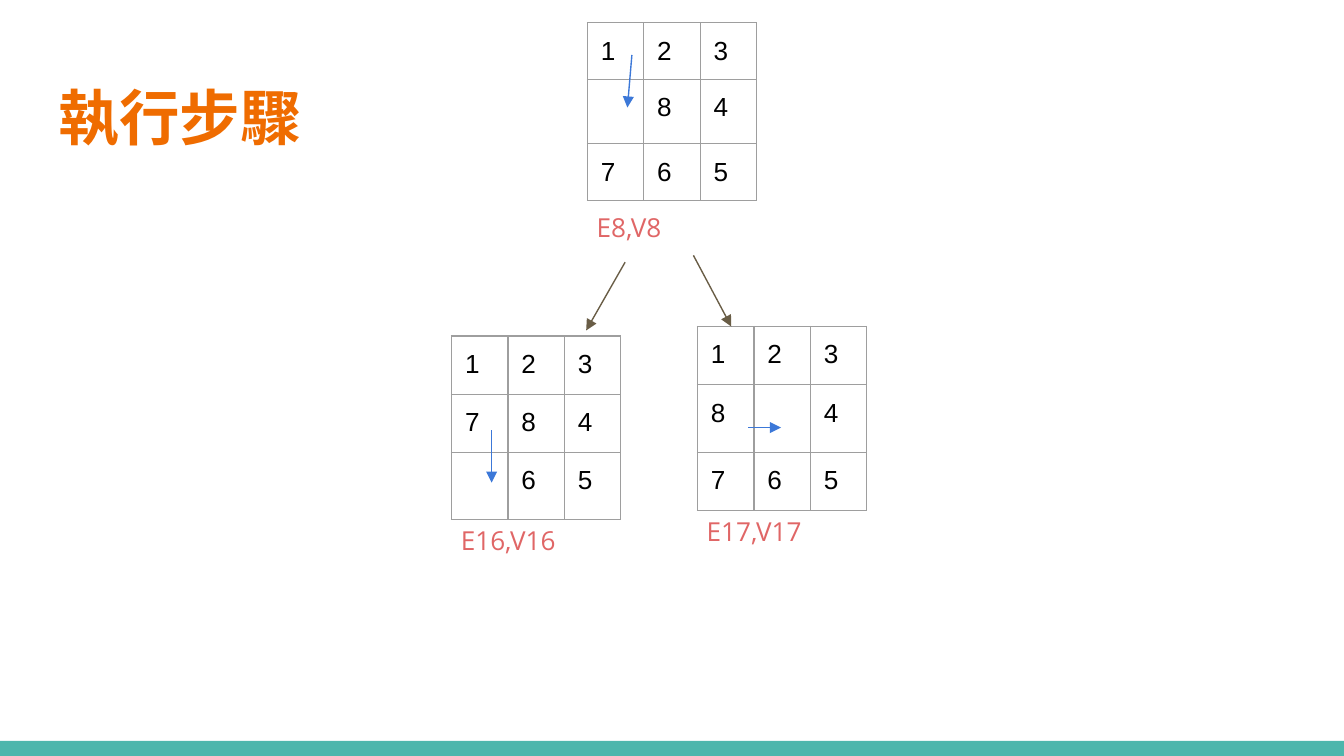
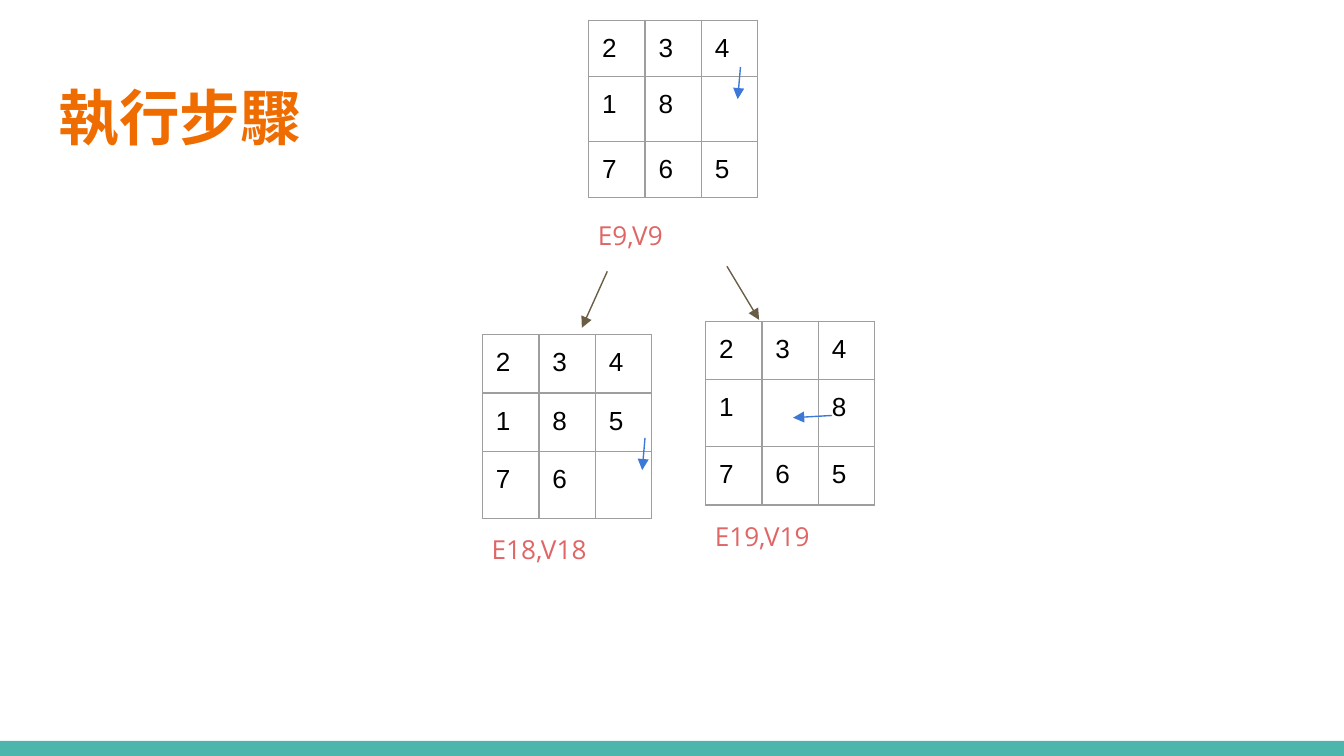
from lxml import etree
from pptx import Presentation
from pptx.dml.color import RGBColor
from pptx.enum.shapes import MSO_CONNECTOR, MSO_SHAPE
from pptx.enum.text import MSO_ANCHOR
from pptx.oxml.ns import qn
from pptx.util import Inches, Pt

STRAIGHT = MSO_CONNECTOR.STRAIGHT
RECTANGLE = MSO_SHAPE.RECTANGLE
TOP, MIDDLE = MSO_ANCHOR.TOP, MSO_ANCHOR.MIDDLE

WIDTH = 10
HEIGHT = WIDTH * 9 / 16
CELL = 0.42
INSET = 0.1
LINE_WIDTH = 0.75
ORANGE, TEAL, CORAL = "EF6C00", "4DB6AC", "E06666"
BLUE, BROWN, GREY, BLACK = "3C78D8", "695D46", "9E9E9E", "000000"
ROOT = {"tile_height": 0.42, "gap_height": 0.48, "bottom_inset": 0.08}
CHILD = {"tile_height": 0.43, "gap_height": 0.5, "bottom_inset": INSET}

STEPS = [
    {
        "label_row": 3.1,
        "boards": [
            {"at": (4.37, 0.17), "tiles": ["123", " 84", "765"], "label": "E8,V8",
             "move": ((0.79, 0.57), (0.71, 1.5)), "size": ROOT},
            {"at": (3.36, 2.5), "tiles": ["123", "784", " 65"], "label": "E16,V16",
             "move": ((0.71, 1.67), (0.71, 2.6)), "size": CHILD},
            {"at": (5.19, 2.43), "tiles": ["123", "8 4", "765"], "label": "E17,V17",
             "move": ((0.9, 1.79), (1.48, 1.79)), "size": CHILD},
        ],
        "branches": [((0.67, 4.24), (-0.02, 5.45)), ((1.88, 4.12), (2.55, 5.38))],
    },
    {
        "label_row": 3.29,
        "boards": [
            {"at": (4.38, 0.15), "tiles": ["234", "18 ", "765"], "label": "E9,V9",
             "move": ((2.69, 0.83), (2.64, 1.4)), "size": ROOT},
            {"at": (3.59, 2.49), "tiles": ["234", "185", "76 "], "label": "E18,V18",
             "move": ((2.88, 1.83), (2.83, 2.4)), "size": CHILD},
            {"at": (5.25, 2.39), "tiles": ["234", "1 8", "765"], "label": "E19,V19",
             "move": ((2.24, 1.67), (1.55, 1.71)), "size": CHILD},
        ],
        "branches": [((0.33, 4.45), (-0.12, 5.45)), ((2.45, 4.36), (3.02, 5.31))],
    },
]


def color(value):
    return RGBColor.from_string(value)


def write(paragraph, text, size=14, font="Arial", fill=BLACK, bold=False):
    run = paragraph.add_run()
    run.text = text
    run.font.size = Pt(size)
    run.font.name = font
    run.font.bold = bold
    run.font.color.rgb = color(fill)


def add_text(slide, box, text, anchor=TOP, **text_format):
    shape = slide.shapes.add_textbox(*map(Inches, box))
    frame = shape.text_frame
    frame.word_wrap = True
    frame.vertical_anchor = anchor
    frame.margin_left = frame.margin_right = Inches(INSET)
    frame.margin_top = frame.margin_bottom = Inches(INSET)
    write(frame.paragraphs[0], text, **text_format)


def add_arrow(slide, origin, ends, fill):
    points = [Inches(start + CELL * step) for end in ends for start, step in zip(origin, end)]
    connector = slide.shapes.add_connector(STRAIGHT, *points)
    connector.line.color.rgb = color(fill)
    connector.line.width = Pt(LINE_WIDTH)
    line = connector.line._get_or_add_ln()
    etree.SubElement(line, qn("a:tailEnd"), type="triangle")
    etree.SubElement(connector._element.spPr, qn("a:effectLst"))


def format_cell(cell, bottom_inset):
    cell.margin_left = cell.margin_right = cell.margin_top = Inches(INSET)
    cell.margin_bottom = Inches(bottom_inset)
    cell.vertical_anchor = TOP
    properties = cell._tc.get_or_add_tcPr()
    for side in ("lnL", "lnR", "lnT", "lnB"):
        border = etree.SubElement(properties, qn(f"a:{side}"), w=str(Pt(LINE_WIDTH)))
        solid = etree.SubElement(border, qn("a:solidFill"))
        etree.SubElement(solid, qn("a:srgbClr"), val=GREY)
    cell.fill.background()


def add_board(slide, at, tiles, label, move, size, label_row):
    left, top = at
    heights = [size["gap_height" if " " in row else "tile_height"] for row in tiles]
    frame = slide.shapes.add_table(
        3, 3, Inches(left), Inches(top), Inches(3 * CELL), Inches(sum(heights)))
    table = frame.table
    table.first_row = table.horz_banding = False
    for row_index, row in enumerate(tiles):
        table.rows[row_index].height = Inches(heights[row_index])
        table.columns[row_index].width = Inches(CELL)
        for column_index, tile in enumerate(row):
            cell = table.cell(row_index, column_index)
            format_cell(cell, size["bottom_inset"])
            if tile != " ":
                write(cell.text_frame.paragraphs[0], tile)
    add_text(slide, (left - 0.03, top + label_row * CELL, 1.32, 0.44), label,
             font="Open Sans", fill=CORAL)
    add_arrow(slide, at, move, BLUE)


def add_frame(slide):
    band_height = 0.02 * HEIGHT
    band = slide.shapes.add_shape(
        RECTANGLE, 0, Inches(HEIGHT - band_height), Inches(WIDTH), Inches(band_height))
    band.shadow.inherit = False
    band.fill.solid()
    band.fill.fore_color.rgb = color(TEAL)
    band.line.fill.background()
    add_text(slide, (0.34, 0.48, 2.75, 0.77), "執行步驟", anchor=MIDDLE,
             size=32.4, font="Arial Narrow", fill=ORANGE, bold=True)


def add_step(presentation, label_row, boards, branches):
    slide = presentation.slides.add_slide(presentation.slide_layouts[6])
    add_frame(slide)
    for board in boards:
        add_board(slide, label_row=label_row, **board)
    for branch in branches:
        add_arrow(slide, boards[0]["at"], branch, BROWN)


def main():
    presentation = Presentation()
    presentation.slide_width = Inches(WIDTH)
    presentation.slide_height = Inches(HEIGHT)
    for step in STEPS:
        add_step(presentation, **step)
    presentation.save("out.pptx")


if __name__ == "__main__":
    main()
